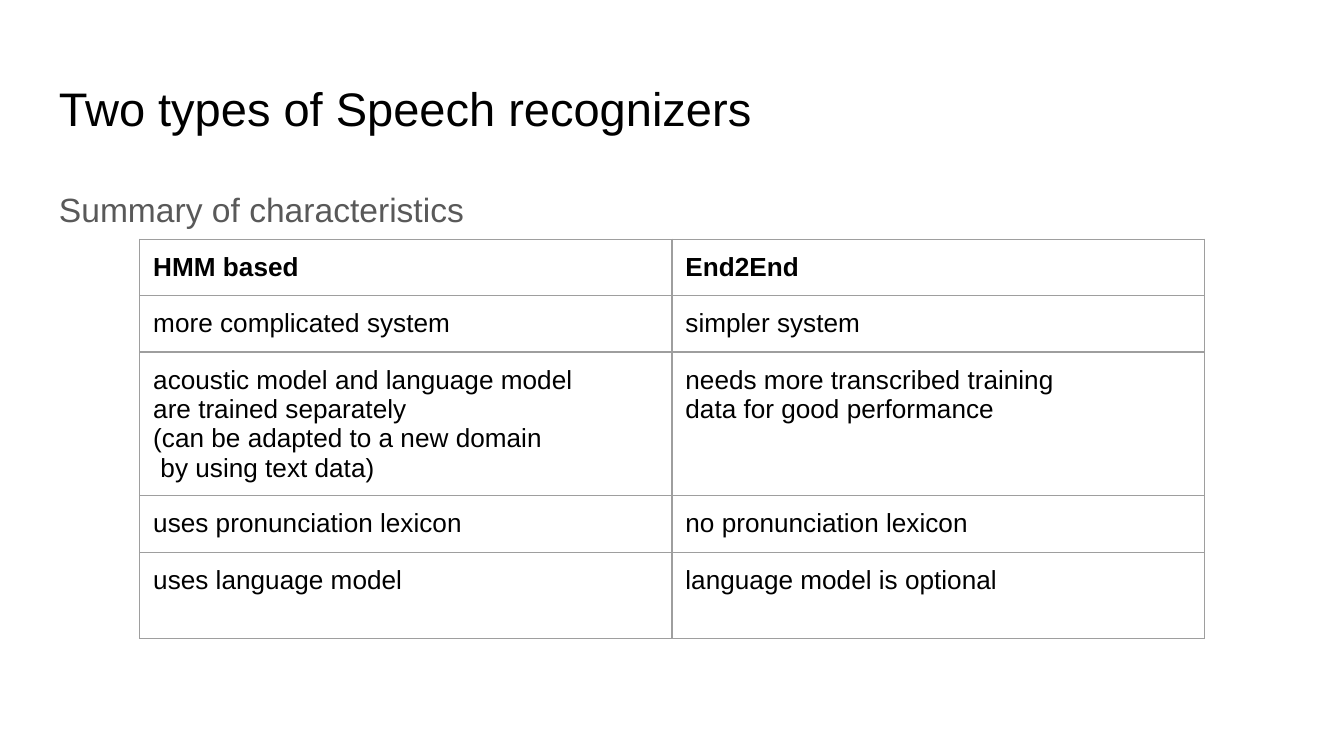
from dataclasses import dataclass

from lxml.etree import SubElement
from pptx import Presentation
from pptx.dml.color import RGBColor
from pptx.oxml.ns import qn
from pptx.slide import Slide
from pptx.table import _Cell
from pptx.text.text import _Paragraph
from pptx.util import Inches, Pt

BLACK = RGBColor(0x00, 0x00, 0x00)
GRAY = RGBColor(0x59, 0x59, 0x59)
RULE = RGBColor(0x9E, 0x9E, 0x9E)
FONT = "Arial"
PAD = Inches(0.1)
BASE = Inches(0.03)


@dataclass
class Label:
    text: str
    top: float
    high: float
    size: float
    color: RGBColor
    lead: float = 1.0
    after: float = 0


@dataclass
class Row:
    left: str
    right: str
    high: float = 0.42
    bold: bool = False


LABELS = [
    Label("Two types of Speech recognizers", 0.49, 0.63, 25.2, BLACK),
    Label("Summary of characteristics", 1.26, 3.74, 18, GRAY, 1.15, 12),
]

ROWS = [
    Row("HMM based", "End2End", bold=True),
    Row("more complicated system", "simpler system"),
    Row(
        "acoustic model and language model \vare trained separately \v"
        "(can be adapted to a new domain \v by using text data)",
        "needs more transcribed training \vdata for good performance",
        1.07,
    ),
    Row("uses pronunciation lexicon", "no pronunciation lexicon"),
    Row("uses language model", "language model is optional", 0.64),
]


def style(para: _Paragraph, size: float, color: RGBColor, bold: bool = False) -> None:
    for run in para.runs:
        run.font.name = FONT
        run.font.size = Pt(size)
        run.font.bold = bold
        run.font.color.rgb = color


def add_label(slide: Slide, label: Label) -> None:
    box = slide.shapes.add_textbox(
        Inches(0.34), Inches(label.top), Inches(9.32), Inches(label.high)
    )
    frame = box.text_frame
    frame.word_wrap = True
    frame.margin_left = frame.margin_right = PAD
    frame.margin_top = frame.margin_bottom = PAD
    para = frame.paragraphs[0]
    para.text = label.text
    para.line_spacing = label.lead
    para.space_after = Pt(label.after)
    style(para, label.size, label.color)


def add_edges(cell: _Cell) -> None:
    props = cell._tc.get_or_add_tcPr()
    for side in ("lnL", "lnR", "lnT", "lnB"):
        line = SubElement(props, qn(f"a:{side}"), w=str(Pt(0.75)))
        fill = SubElement(line, qn("a:solidFill"))
        SubElement(fill, qn("a:srgbClr"), val=str(RULE))


def fill_cell(cell: _Cell, text: str, bold: bool) -> None:
    cell.margin_left = cell.margin_right = cell.margin_top = PAD
    cell.margin_bottom = BASE
    add_edges(cell)
    cell.fill.background()
    para = cell.text_frame.paragraphs[0]
    para.text = text
    style(para, 14, BLACK, bold)


def add_grid(slide: Slide, rows: list[Row]) -> None:
    high = sum(row.high for row in rows)
    table = slide.shapes.add_table(
        len(rows), 2, Inches(1.04), Inches(1.78), Inches(7.92), Inches(high)
    ).table
    table.first_row = table.horz_banding = False
    for line, row in zip(table.rows, rows):
        line.height = Inches(row.high)
        for cell, text in zip(line.cells, (row.left, row.right)):
            fill_cell(cell, text, row.bold)


def main() -> None:
    deck = Presentation()
    deck.slide_width = Inches(10)
    deck.slide_height = Inches(10 * 9 / 16)
    slide = deck.slides.add_slide(deck.slide_layouts[6])
    for label in LABELS:
        add_label(slide, label)
    add_grid(slide, ROWS)
    deck.save("out.pptx")


if __name__ == "__main__":
    main()
